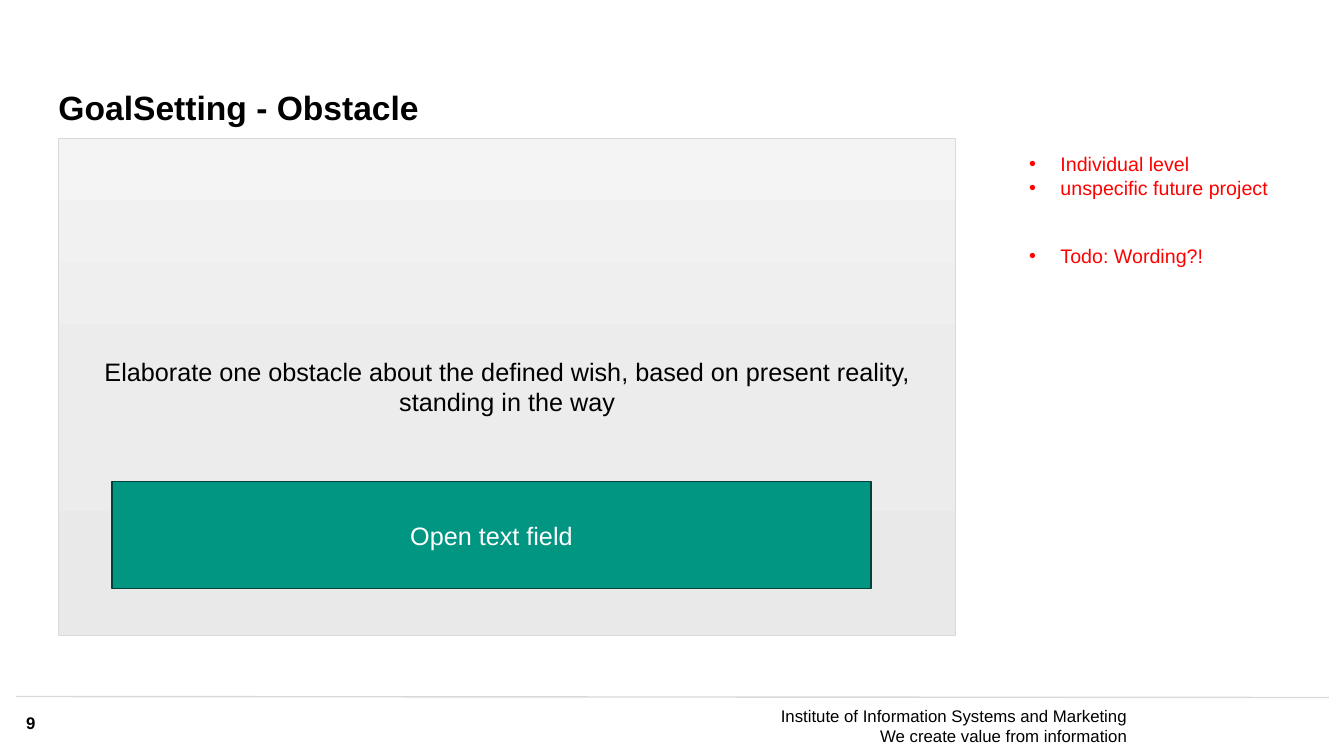
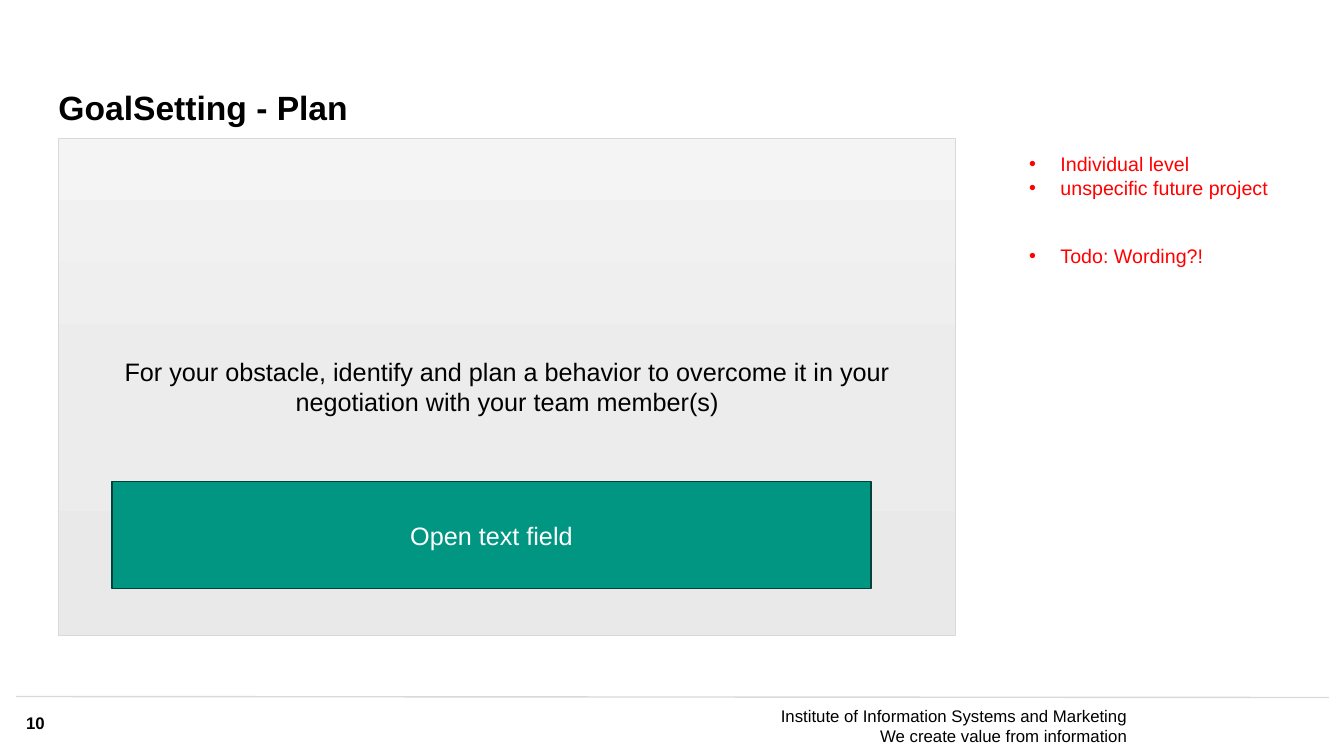
from copy import deepcopy

from pptx import Presentation
from pptx.dml.color import RGBColor
from pptx.enum.shapes import MSO_CONNECTOR, MSO_SHAPE
from pptx.enum.text import MSO_ANCHOR as Anchor, MSO_AUTO_SIZE as AutoSize, PP_ALIGN as Align
from pptx.oxml.ns import qn
from pptx.util import Inches, Pt
from lxml.etree import SubElement

# Shared style
FONT = "Arial"
BLACK = RGBColor(0x00, 0x00, 0x00)
WHITE = RGBColor(0xFF, 0xFF, 0xFF)
RED = RGBColor(0xFF, 0x00, 0x00)
RULE_GREY = RGBColor(0xD9, 0xD9, 0xD9)
GREEN = RGBColor(0x00, 0x96, 0x82)
DARK_GREEN = RGBColor(0x00, 0x42, 0x39)
PANEL_STOPS = [(0, RGBColor(0xF4, 0xF4, 0xF4)),
               (0.5, RGBColor(0xEC, 0xEC, 0xEC)),
               (1, RGBColor(0xE9, 0xE9, 0xE9))]

# Shared places: left, top, width, height in inches
TITLE_BOX = (0.58, 0.43, 10.02, 0.84)
PANEL_BOX = (0.58, 1.37, 8.9, 4.93)
NOTES_BOX = (10.11, 1.46, 2.73, 1.28)
FOOTER_BOX = (0.16, 6.91, 13.02, 0.48)

FOOTER_TEXT = "Institute of Information Systems and Marketing\vWe create value from information"
FIELD_LABEL = "Open text field"
# Each note with the gap above it in points
NOTES = [("Individual level", 0), ("unspecific future project", 0), ("Todo: Wording?!", 32)]
FIRST_NUMBER = 9
PROMPTS = [
    ("GoalSetting - Obstacle",
     "Elaborate one obstacle about the defined wish, based on present reality, "
     "standing in the way"),
    ("GoalSetting - Plan",
     "For your obstacle, identify and plan a behavior to overcome it in your "
     "negotiation with your team member(s)"),
]


def inches(box):
    return [Inches(length) for length in box]


def style(paragraph, size, color, bold=False, align=Align.LEFT):
    paragraph.alignment = align
    font = paragraph.font
    font.name, font.size, font.bold = FONT, Pt(size), bold
    font.color.rgb = color


def clear_insets(frame):
    frame.margin_left = frame.margin_top = frame.margin_right = frame.margin_bottom = 0


def add_label(slide, box, text, **look):
    frame = slide.shapes.add_textbox(*inches(box)).text_frame
    frame.word_wrap = True
    clear_insets(frame)
    frame.paragraphs[0].text = text
    style(frame.paragraphs[0], 12, BLACK, **look)


def add_rectangle(slide, box, text, color, border, border_width):
    rectangle = slide.shapes.add_shape(MSO_SHAPE.RECTANGLE, *inches(box))
    rectangle.shadow.inherit = False
    rectangle.line.color.rgb = border
    rectangle.line.width = Pt(border_width)
    frame = rectangle.text_frame
    frame.word_wrap = True
    frame.vertical_anchor = Anchor.MIDDLE
    frame.text = text
    style(frame.paragraphs[0], 18, color, align=Align.CENTER)
    return rectangle


def fill_gradient(shape, stops):
    """Fill from top to bottom with any number of stops."""
    shape.fill.gradient()
    shape.fill.gradient_angle = 270
    stop_list = shape.element.spPr.find(qn("a:gradFill")).find(qn("a:gsLst"))
    while len(stop_list) < len(stops):
        stop_list.append(deepcopy(stop_list[-1]))
    for stop, (position, color) in zip(shape.fill.gradient_stops, stops):
        stop.position = position
        stop.color.rgb = color


def set_title(slide, box, text):
    title = slide.shapes.title
    title.left, title.top, title.width, title.height = inches(box)
    frame = title.text_frame
    frame.text = text
    frame.auto_size = AutoSize.NONE
    frame.word_wrap = True
    frame.vertical_anchor = Anchor.BOTTOM
    clear_insets(frame)
    frame.paragraphs[0].line_spacing = 0.9
    style(frame.paragraphs[0], 24, BLACK, bold=True)


def add_prompt_panel(slide, box, prompt):
    left, top, _, _ = box
    panel = add_rectangle(slide, box, prompt, BLACK, RULE_GREY, 0.5)
    fill_gradient(panel, PANEL_STOPS)
    # Answer field inside the panel
    field_box = (left + 0.53, top + 3.41, 7.53, 1.06)
    field = add_rectangle(slide, field_box, FIELD_LABEL, WHITE, DARK_GREEN, 1)
    field.fill.solid()
    field.fill.fore_color.rgb = GREEN


def add_bullet(paragraph, indent):
    properties = paragraph._p.get_or_add_pPr()
    properties.set("marL", str(Inches(indent)))
    properties.set("indent", str(-Inches(indent)))
    SubElement(properties, qn("a:buFont"), typeface=FONT)
    SubElement(properties, qn("a:buChar"), char="•")


def add_notes(slide, box, notes):
    frame = slide.shapes.add_textbox(*inches(box)).text_frame
    frame.word_wrap = True
    frame.auto_size = AutoSize.SHAPE_TO_FIT_TEXT
    for index, (note, gap) in enumerate(notes):
        paragraph = frame.add_paragraph() if index else frame.paragraphs[0]
        paragraph.text = note
        add_bullet(paragraph, 0.31)
        paragraph.space_before = Pt(gap)
        style(paragraph, 14, RED)


def add_footer(slide, box, number):
    left, top, width, _ = box
    rule = slide.shapes.add_connector(
        MSO_CONNECTOR.STRAIGHT, *inches((left, top, left + width, top + 0.01)))
    rule.line.color.rgb = RULE_GREY
    rule.line.width = Pt(1)
    SubElement(rule.element.spPr, qn("a:effectLst"))
    add_label(slide, (left + 7.03, top + 0.09, 3.99, 0.39), FOOTER_TEXT, align=Align.RIGHT)
    add_label(slide, (left + 0.1, top + 0.16, 0.47, 0.24), str(number), bold=True)


def add_prompt_slide(deck, number, title, prompt):
    slide = deck.slides.add_slide(deck.slide_layouts.get_by_name("Title Only"))
    add_footer(slide, FOOTER_BOX, number)
    set_title(slide, TITLE_BOX, title)
    add_prompt_panel(slide, PANEL_BOX, prompt)
    add_notes(slide, NOTES_BOX, NOTES)


def main():
    deck = Presentation()
    deck.slide_width, deck.slide_height = Inches(13.33), Inches(7.5)
    for number, (title, prompt) in enumerate(PROMPTS, FIRST_NUMBER):
        add_prompt_slide(deck, number, title, prompt)
    deck.save("out.pptx")


if __name__ == "__main__":
    main()
